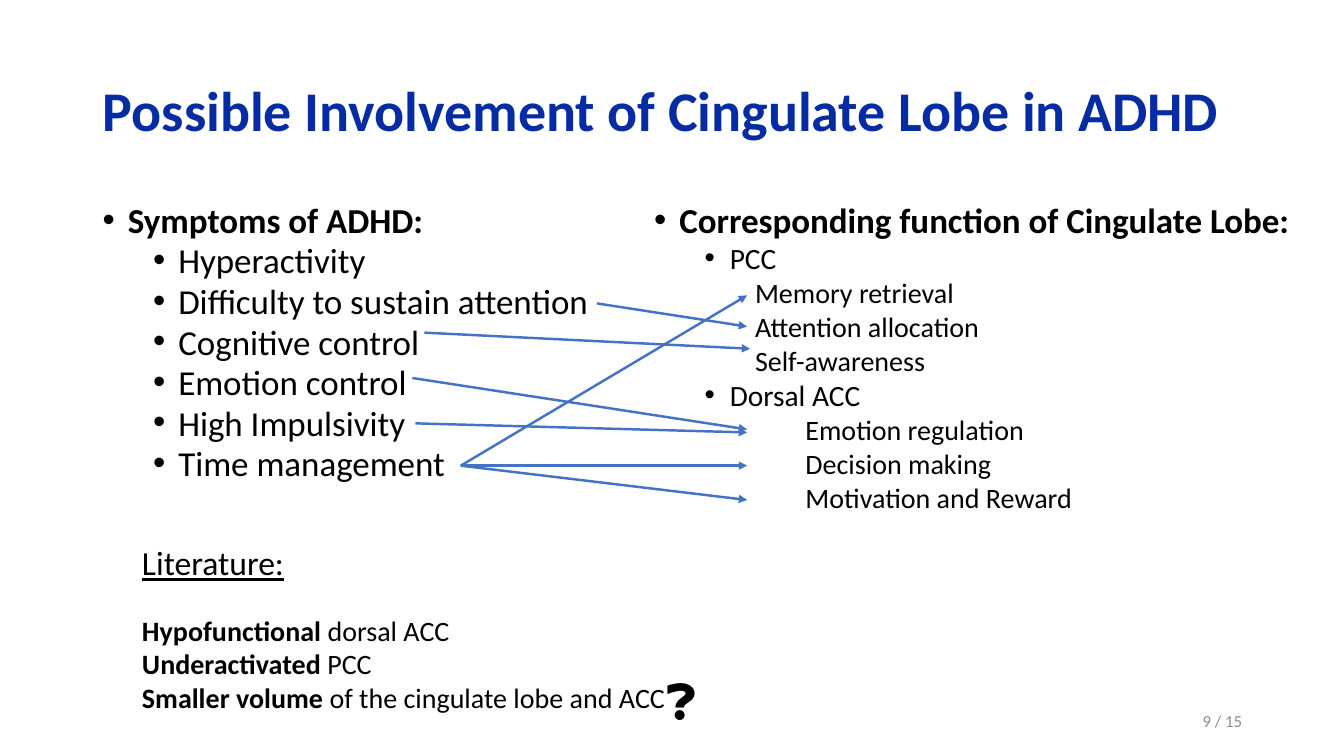
from lxml import etree
from pptx import Presentation
from pptx.dml.color import RGBColor
from pptx.enum.shapes import MSO_CONNECTOR
from pptx.enum.text import MSO_ANCHOR, MSO_AUTO_SIZE, PP_ALIGN
from pptx.oxml.ns import qn
from pptx.util import Inches, Pt

BLACK = RGBColor(0x00, 0x00, 0x00)
NAVY = RGBColor(0x05, 0x2C, 0xA3)
BLUE = RGBColor(0x44, 0x72, 0xC4)
GRAY = RGBColor(0x8C, 0x8C, 0x8C)
LEFT, RIGHT = PP_ALIGN.LEFT, PP_ALIGN.RIGHT
TOP, MIDDLE = MSO_ANCHOR.TOP, MSO_ANCHOR.MIDDLE
FIXED = MSO_AUTO_SIZE.NONE
STRAIGHT = MSO_CONNECTOR.STRAIGHT

SYMPTOMS = [
    "Hyperactivity",
    "Difficulty to sustain attention",
    "Cognitive control",
    "Emotion control",
    "High Impulsivity",
    "Time management",
]
REGIONS = [
    ("PCC", 1, ["Memory retrieval", "Attention allocation", "Self-awareness"]),
    ("Dorsal ACC", 1.5, ["Emotion regulation", "Decision making", "Motivation and Reward"]),
]
FINDINGS = [
    ("Hypofunctional", " dorsal ACC"),
    ("Underactivated", " PCC"),
    ("Smaller volume", " of the cingulate lobe and ACC"),
]
ARROWS = [
    ((5.92, 3.01), (7.41, 3.24)),
    ((4.21, 3.3), (7.44, 3.46)),
    ((4.09, 3.75), (7.41, 4.26)),
    ((4.12, 4.2), (7.41, 4.29)),
    ((4.57, 4.62), (7.41, 4.62)),
    ((4.57, 4.62), (7.41, 4.96)),
    ((4.57, 4.62), (7.41, 2.93)),
]


def add_run(para, text, size=20, bold=False, line=False, color=BLACK):
    run = para.add_run()
    run.text = text
    font = run.font
    font.name = "Calibri"
    font.size = Pt(size)
    font.bold = bold
    font.underline = line
    font.color.rgb = color


def next_para(frame):
    para = frame.paragraphs[0]
    return frame.add_paragraph() if para.runs else para


def add_frame(slide, box, anchor=TOP):
    frame = slide.shapes.add_textbox(*map(Inches, box)).text_frame
    frame.word_wrap = True
    frame.vertical_anchor = anchor
    return frame


def add_item(frame, text, indent, size, bold=False, bullet=True, gap=5):
    para = next_para(frame)
    para.line_spacing = 0.8
    para.space_before = Pt(gap)
    props = para._p.get_or_add_pPr()
    props.set("marL", str(Inches(indent)))
    props.set("indent", str(Inches(-0.25 if bullet else 0)))
    if bullet:
        etree.SubElement(props, qn("a:buFont")).set("typeface", "Arial")
        etree.SubElement(props, qn("a:buChar")).set("char", "•")
    add_run(para, text, size=size, bold=bold)


def add_title(slide, box):
    title = slide.shapes.title
    title.left, title.top, title.width, title.height = map(Inches, box)
    frame = title.text_frame
    frame.auto_size = FIXED
    frame.word_wrap = True
    frame.vertical_anchor = MIDDLE
    para = frame.paragraphs[0]
    para.alignment = LEFT
    para.line_spacing = 0.9
    add_run(para, "Possible Involvement of Cingulate Lobe in ADHD",
            size=40, bold=True, color=NAVY)


def add_symptoms(slide, box):
    frame = add_frame(slide, box)
    add_item(frame, "Symptoms of ADHD:", 0.25, 25, bold=True, gap=10)
    for name in SYMPTOMS:
        add_item(frame, name, 0.75, 25)


def add_regions(slide, box):
    frame = add_frame(slide, box)
    add_item(frame, "Corresponding function of Cingulate Lobe:", 0.25, 25,
             bold=True, gap=10)
    for name, indent, roles in REGIONS:
        add_item(frame, name, 0.75, 21)
        for role in roles:
            add_item(frame, role, indent, 20, bullet=False)


def add_arrow(slide, start, end):
    arrow = slide.shapes.add_connector(STRAIGHT, *map(Inches, start + end))
    arrow.line.color.rgb = BLUE
    arrow.line.width = Pt(1.75)
    line = arrow.line._get_or_add_ln()
    etree.SubElement(line, qn("a:tailEnd")).set("type", "triangle")
    etree.SubElement(arrow._element.spPr, qn("a:effectLst"))


def add_findings(slide, box):
    frame = add_frame(slide, box)
    add_run(next_para(frame), "Literature:", size=24, line=True)
    for order, (lead, rest) in enumerate(FINDINGS):
        para = next_para(frame)
        para.space_before = Pt(0 if order else 22)
        add_run(para, lead, bold=True)
        add_run(para, rest)


def add_mark(slide, box):
    add_run(next_para(add_frame(slide, box)), "❓", size=32)


def add_number(slide, box):
    para = next_para(add_frame(slide, box, anchor=MIDDLE))
    para.alignment = RIGHT
    add_run(para, "9 / 15", size=12, color=GRAY)


def main():
    deck = Presentation()
    deck.slide_width, deck.slide_height = Inches(13.33), Inches(7.5)
    slide = deck.slides.add_slide(deck.slide_layouts.get_by_name("Title Only"))
    add_title(slide, (0.92, 0.4, 11.5, 1.45))
    add_symptoms(slide, (0.92, 2, 5.67, 4.76))
    add_regions(slide, (6.39, 2, 6.64, 4.76))
    for start, end in ARROWS:
        add_arrow(slide, start, end)
    add_findings(slide, (1.31, 5.33, 10.75, 1.82))
    add_mark(slide, (6.5, 6.6, 0.94, 0.64))
    add_number(slide, (9.42, 6.95, 3, 0.4))
    deck.save("out.pptx")


if __name__ == "__main__":
    main()
